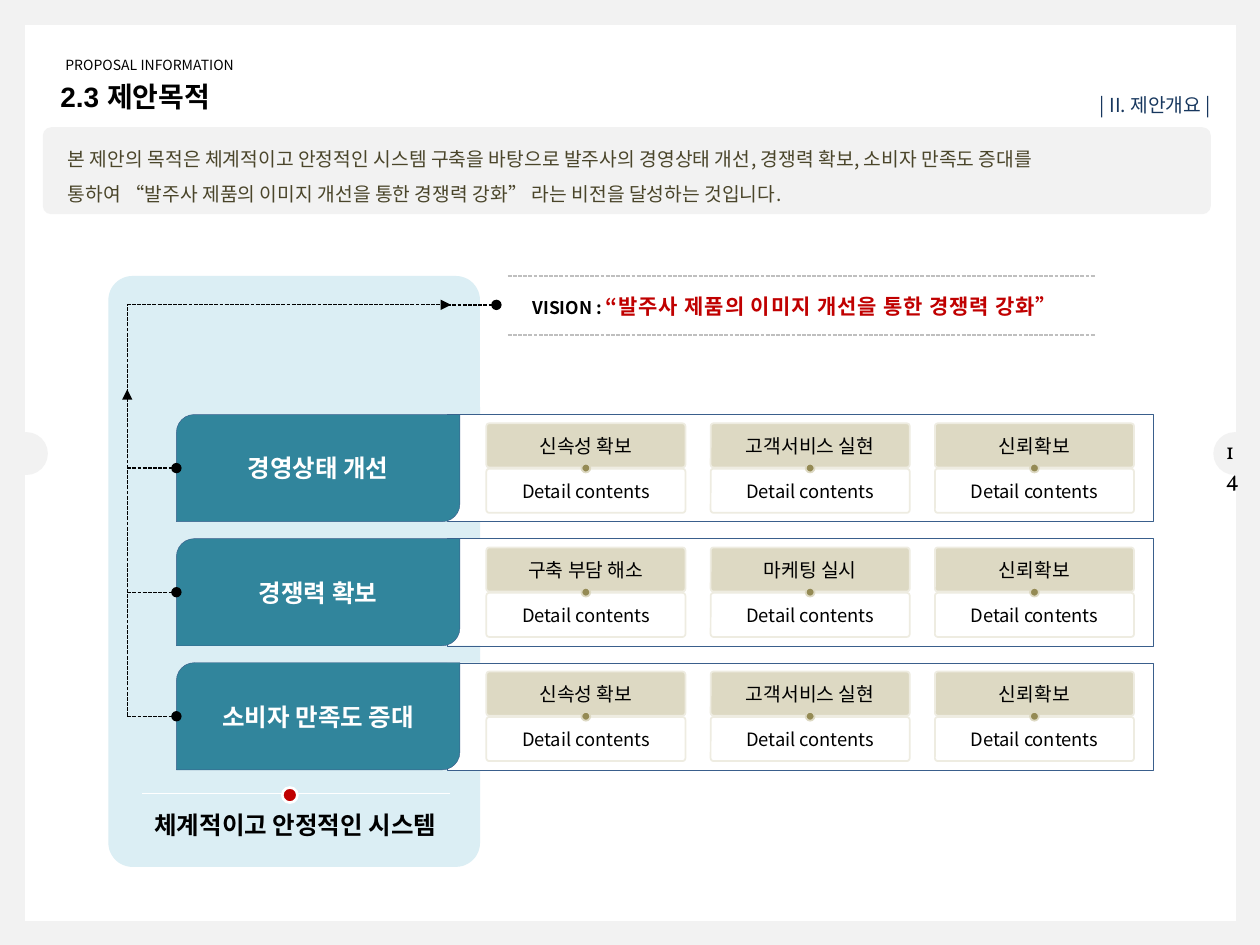
from lxml import etree
from pptx import Presentation
from pptx.dml.color import RGBColor
from pptx.enum import dml, shapes as sh, text as tx
from pptx.oxml.ns import qn
from pptx.util import Inches, Pt

GRAY = RGBColor(0xF2, 0xF2, 0xF2)
WHITE = RGBColor(0xFF, 0xFF, 0xFF)
BLACK = RGBColor(0, 0, 0)
NAVY = RGBColor(0x17, 0x37, 0x5E)
OLIVE = RGBColor(0x4A, 0x45, 0x2A)
PALE_BLUE = RGBColor(0xDB, 0xEE, 0xF4)
TEAL = RGBColor(0x31, 0x85, 0x9C)
FRAME_BLUE = RGBColor(0x3A, 0x5F, 0x8C)
RED = RGBColor(0xC0, 0, 0)
RULE_GRAY = RGBColor(0xBF, 0xBF, 0xBF)
TAN = RGBColor(0xDD, 0xD9, 0xC3)
CREAM = RGBColor(0xEE, 0xEC, 0xE1)
KHAKI = RGBColor(0x94, 0x8A, 0x54)
KOREAN = "Noto Sans CJK KR"
SHAPE = sh.MSO_SHAPE
ALIGN = tx.PP_ALIGN
ANCHOR = tx.MSO_ANCHOR

GOALS = [
    ("경영상태 개선", ["신속성 확보", "고객서비스 실현", "신뢰확보"]),
    ("경쟁력 확보", ["구축 부담 해소", "마케팅 실시", "신뢰확보"]),
    ("소비자 만족도 증대", ["신속성 확보", "고객서비스 실현", "신뢰확보"]),
]
SPINE_X = 1.01
GOAL_X, GOAL_TOP, GOAL_PITCH, GOAL_HEIGHT = 1.4, 3.29, 0.985, 0.85
VISION_Y = 2.42


def inches(*lengths):
    return [Inches(length) for length in lengths]


def add_box(shapes, kind, box, fill, line=None, width=1, corner=None):
    shape = shapes.add_shape(kind, *inches(*box))
    shape.shadow.inherit = False
    shape.fill.solid()
    shape.fill.fore_color.rgb = fill
    if line is None:
        shape.line.fill.background()
    else:
        shape.line.color.rgb = line
        shape.line.width = Pt(width)
    if corner is not None:
        shape.adjustments[0] = corner
    return shape


def add_line(shapes, start, end, color=BLACK, dashed=True, tail=None,
             kind=sh.MSO_CONNECTOR.STRAIGHT):
    line = shapes.add_connector(kind, *inches(*start, *end))
    line.line.color.rgb = color
    line.line.width = Pt(0.75)
    if dashed:
        line.line.dash_style = dml.MSO_LINE.SQUARE_DOT
    properties = line.element.spPr
    if tail:
        etree.SubElement(properties.find(qn("a:ln")), qn("a:tailEnd"), type=tail)
    etree.SubElement(properties, qn("a:effectLst"))
    return line


def style(font, size, color, bold=False, face=KOREAN):
    font.size = Pt(size)
    font.bold = bold
    font.color.rgb = color
    font.name = face


def write(shape, lines, size, color, bold=False, face=KOREAN, align=ALIGN.CENTER,
          anchor=ANCHOR.MIDDLE, wrap=True, spacing=None):
    frame = shape.text_frame
    frame.text = "\n".join(lines)
    frame.word_wrap = wrap
    frame.vertical_anchor = anchor
    for paragraph in frame.paragraphs:
        paragraph.alignment = align
        if spacing:
            paragraph.line_spacing = spacing
        style(paragraph.font, size, color, bold, face)
        defaults = paragraph._p.pPr.find(qn("a:defRPr"))
        etree.SubElement(defaults, qn("a:ea"), typeface=KOREAN)


def add_text(shapes, box, line, size, color, **options):
    label = shapes.add_textbox(*inches(*box))
    write(label, [line], size, color, anchor=ANCHOR.TOP, **options)


def add_page(slide):
    slide.background.fill.solid()
    slide.background.fill.fore_color.rgb = GRAY
    shapes = slide.shapes
    add_box(shapes, SHAPE.RECTANGLE, (0.2, 0.2, 9.61, 7.11), WHITE)
    for left in (0.04, 9.63):
        add_box(shapes, SHAPE.OVAL, (left, 3.43, 0.34, 0.34), GRAY)
    add_text(shapes, (9.63, 3.42, 0.36, 0.32), "14", 13, BLACK,
             face="Vollkorn", align=ALIGN.LEFT, wrap=False)


def add_heading(slide, left, top):
    shapes = slide.shapes
    add_text(shapes, (left + 0.04, top, 1.81, 0.24), "PROPOSAL INFORMATION", 8, BLACK,
             align=ALIGN.LEFT)
    title = shapes.title
    title.left, title.top, title.width, title.height = inches(left, top + 0.18, 1.96, 0.37)
    write(title, ["2.3 제안목적"], 16, BLACK, bold=True, face="Arial",
          align=ALIGN.LEFT, anchor=ANCHOR.TOP)
    title.text_frame.auto_size = tx.MSO_AUTO_SIZE.NONE
    title.element.getparent().append(title.element)
    add_text(shapes, (left + 7.79, top + 0.2, 1.54, 0.38), "| II. 제안개요 |", 11, NAVY,
             align=ALIGN.RIGHT, spacing=1.5)


def add_summary(slide, box):
    summary = add_box(slide.shapes, SHAPE.ROUNDED_RECTANGLE, box, GRAY, corner=0.096)
    write(summary, [
        "본 제안의 목적은 체계적이고 안정적인 시스템 구축을 바탕으로 발주사의 경영상태 개선, 경쟁력 확보, 소비자 만족도 증대를",
        "통하여 “발주사 제품의 이미지 개선을 통한 경쟁력 강화” 라는 비전을 달성하는 것입니다.",
    ], 11, OLIVE, align=ALIGN.LEFT, anchor=ANCHOR.TOP, spacing=1.5)
    summary.text_frame.margin_left = Inches(0.18)


def add_vision(slide, left, top, width):
    shapes = slide.shapes
    label = shapes.add_textbox(*inches(left - 0.08, top + 0.09, width + 0.06, 0.3))
    frame = label.text_frame
    frame.word_wrap = False
    paragraph = frame.paragraphs[0]
    paragraph.alignment = ALIGN.CENTER
    for words, size, color, tracking in (
            ("VISION : ", 10, BLACK, 0),
            ("“발주사 제품의 이미지 개선을 통한 경쟁력 강화”", 12, RED, 50)):
        run = paragraph.add_run()
        run.text = words
        style(run.font, size, color, bold=True)
        properties = run._r.get_or_add_rPr()
        properties.set("spc", str(tracking))
        etree.SubElement(properties, qn("a:ea"), typeface=KOREAN)
    for y in (top, top + 0.47):
        add_line(shapes, (left, y), (left + width, y), RULE_GRAY)


def add_card(shapes, left, top, heading):
    width, height = 1.58, 0.35
    for row, (words, size, fill) in enumerate(
            ((heading, 11, TAN), ("Detail contents", 10.5, WHITE))):
        panel = add_box(shapes, SHAPE.ROUNDED_RECTANGLE,
                        (left, top + row * 0.36, width, height), fill, CREAM, corner=0.065)
        write(panel, [words], size, BLACK)
    dot = 0.07
    add_box(shapes, SHAPE.OVAL, (left + (width - dot) / 2, top + 0.32, dot, dot), KHAKI, TAN)


def add_goal(slide, left, top, goal, headings):
    shapes = slide.shapes
    add_box(shapes, SHAPE.RECTANGLE, (left + 2.15, top, 5.6, GOAL_HEIGHT),
            WHITE, FRAME_BLUE, 0.25)
    pillar = add_box(shapes, SHAPE.ROUND_2_DIAG_RECTANGLE, (left, top, 2.25, GOAL_HEIGHT),
                     TEAL, FRAME_BLUE, 0.25)
    write(pillar, [goal], 14, WHITE, bold=True)
    middle = top + GOAL_HEIGHT / 2
    add_line(shapes, (SPINE_X, middle), (left, middle), tail="oval")
    cards = shapes.add_group_shape().shapes
    for column, heading in enumerate(headings):
        add_card(cards, left + 2.46 + column * 1.78, top + 0.07, heading)


def add_flow(slide):
    shapes = slide.shapes
    last_middle = GOAL_TOP + 2 * GOAL_PITCH + GOAL_HEIGHT / 2
    add_line(shapes, (SPINE_X, last_middle), (SPINE_X, 3.09), tail="triangle")
    elbow = add_line(shapes, (SPINE_X, 3.12), (3.58, VISION_Y), tail="triangle",
                     kind=sh.MSO_CONNECTOR.ELBOW)
    guides = elbow.element.spPr.find(qn("a:prstGeom")).find(qn("a:avLst"))
    etree.SubElement(guides, qn("a:gd"), name="adj1", fmla="val 100")
    add_line(shapes, (3.55, VISION_Y), (3.94, VISION_Y), tail="oval")


def add_foundation(slide, left, top):
    shapes = slide.shapes
    add_text(shapes, (left, top + 0.13, 2.69, 0.34), "체계적이고 안정적인 시스템", 14, BLACK,
             bold=True, wrap=False)
    add_line(shapes, (left + 0.13, top + 0.05), (left + 2.57, top + 0.05), WHITE, dashed=False)
    add_box(shapes, SHAPE.OVAL, (left + 1.24, top, 0.12, 0.12), RED, WHITE, 1.5)


def main():
    deck = Presentation()
    deck.slide_width, deck.slide_height = inches(10, 7.5)
    slide = deck.slides.add_slide(deck.slide_layouts[5])
    add_page(slide)
    add_heading(slide, 0.38, 0.4)
    add_summary(slide, (0.34, 1.01, 9.27, 0.69))
    add_box(slide.shapes, SHAPE.ROUNDED_RECTANGLE, (0.86, 2.19, 2.95, 4.69),
            PALE_BLUE, corner=0.065)
    for row, (goal, headings) in enumerate(GOALS):
        add_goal(slide, GOAL_X, GOAL_TOP + row * GOAL_PITCH, goal, headings)
    add_flow(slide)
    add_vision(slide, 4.03, 2.19, 4.66)
    add_foundation(slide, 1, 6.25)
    deck.save("out.pptx")


if __name__ == "__main__":
    main()
